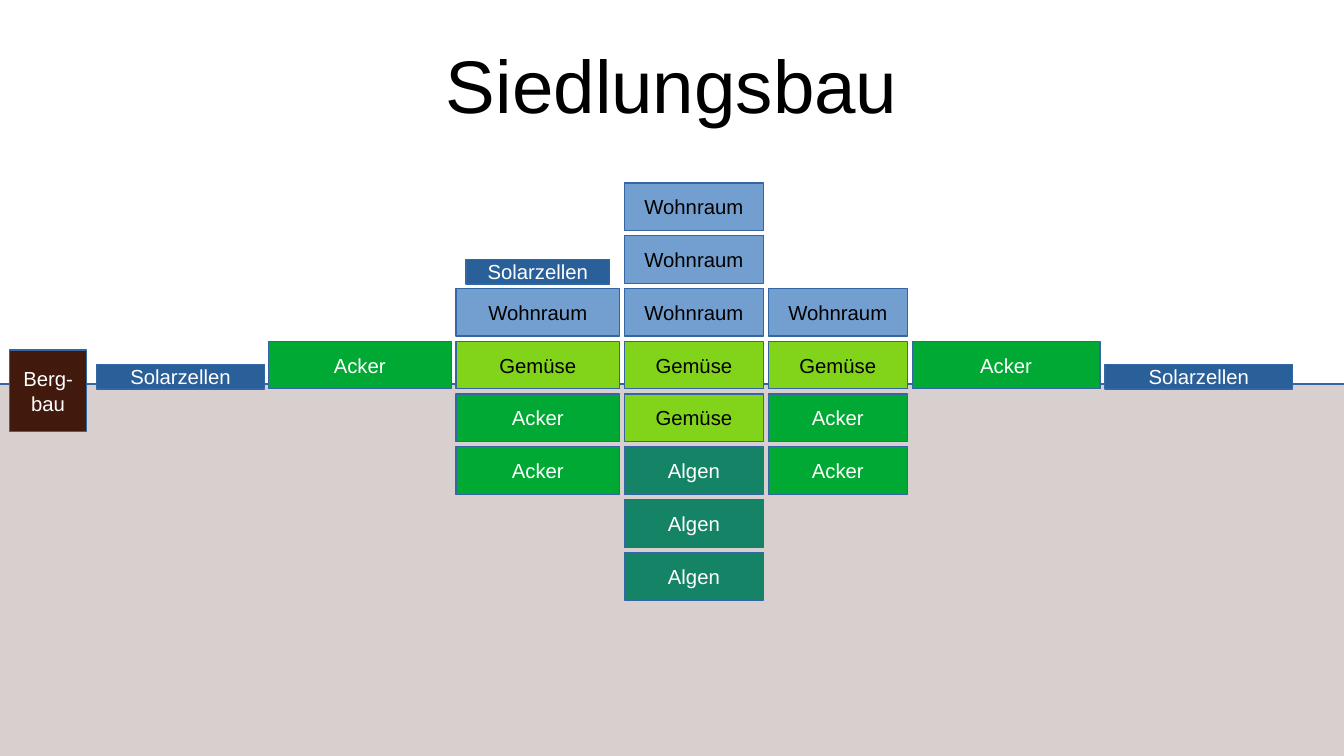
from lxml.etree import SubElement
from pptx import Presentation
from pptx.dml.color import RGBColor
from pptx.enum.shapes import MSO_SHAPE
from pptx.enum.text import MSO_ANCHOR, PP_ALIGN
from pptx.oxml.ns import qn
from pptx.util import Inches, Pt

BLACK = RGBColor(0x00, 0x00, 0x00)
WHITE = RGBColor(0xFF, 0xFF, 0xFF)
EDGE = RGBColor(0x34, 0x65, 0xA4)
SOIL = RGBColor(0x3B, 0x16, 0x0E)

# Name: fill and font colour
KINDS = {
    "Wohnraum": (RGBColor(0x72, 0x9F, 0xCF), BLACK),
    "Gemüse": (RGBColor(0x81, 0xD4, 0x1A), BLACK),
    "Acker": (RGBColor(0x00, 0xA9, 0x33), WHITE),
    "Algen": (RGBColor(0x15, 0x84, 0x66), WHITE),
    "Solarzellen": (RGBColor(0x2A, 0x60, 0x99), WHITE),
    "Berg-bau": (RGBColor(0x41, 0x19, 0x0D), WHITE),
}

# Left, width, first level, rooms from top to bottom
STACKS = [
    (2.2, 1.5, 3, ["Acker"]),
    (3.74, 1.34, 2, ["Wohnraum", "Gemüse", "Acker", "Acker"]),
    (5.12, 1.14, 0, ["Wohnraum"] * 3 + ["Gemüse"] * 2 + ["Algen"] * 3),
    (6.3, 1.14, 2, ["Wohnraum", "Gemüse", "Acker", "Acker"]),
    (7.48, 1.54, 3, ["Acker"]),
]
TOP = 1.5
STEP = 3.03 / 7
ROOM = 0.39

# Left, top, width of the solar panels
PANELS = [(0.79, 2.99, 1.38), (3.82, 2.13, 1.18), (9.06, 2.99, 1.54)]


def add_text(frame, text, size, color):
    frame.word_wrap = True
    frame.vertical_anchor = MSO_ANCHOR.MIDDLE
    para = frame.paragraphs[0]
    para.alignment = PP_ALIGN.CENTER
    run = para.add_run()
    run.text = text
    run.font.name = "Arial"
    run.font.size = Pt(size)
    run.font.color.rgb = color


def add_rect(slide, box, fill):
    rect = slide.shapes.add_shape(MSO_SHAPE.RECTANGLE, *map(Inches, box))
    rect.shadow.inherit = False
    rect.fill.solid()
    rect.fill.fore_color.rgb = fill
    rect.line.color.rgb = EDGE
    rect.line.width = Pt(0)
    return rect


def add_ground(slide, box):
    rect = add_rect(slide, box, SOIL)
    tone = rect.fill._xPr.find(qn("a:solidFill"))[0]
    SubElement(tone, qn("a:alpha"), val="20000")


def add_title(slide, box, text):
    frame = slide.shapes.add_textbox(*map(Inches, box)).text_frame
    frame.margin_left = frame.margin_right = 0
    frame.margin_top = frame.margin_bottom = 0
    add_text(frame, text, 44, BLACK)


def add_unit(slide, box, kind):
    fill, color = KINDS[kind]
    add_text(add_rect(slide, box, fill).text_frame, kind, 12, color)


def add_stack(slide, box, kinds):
    """Pile rooms downwards; box is that of the topmost room."""
    left, top, width, height = box
    for row, kind in enumerate(kinds):
        add_unit(slide, (left, top + row * STEP, width, height), kind)


def main():
    deck = Presentation()
    deck.slide_width, deck.slide_height = Inches(11.02), Inches(6.2)
    slide = deck.slides.add_slide(deck.slide_layouts[6])
    add_ground(slide, (-0.08, 3.15, 11.14, 3.35))
    add_title(slide, (0.55, 0.17, 9.92, 1.04), "Siedlungsbau")
    add_unit(slide, (0.08, 2.87, 0.63, 0.67), "Berg-bau")
    for left, width, level, kinds in STACKS:
        add_stack(slide, (left, TOP + level * STEP, width, ROOM), kinds)
    for left, top, width in PANELS:
        add_unit(slide, (left, top, width, 0.2), "Solarzellen")
    deck.save("out.pptx")


if __name__ == "__main__":
    main()
